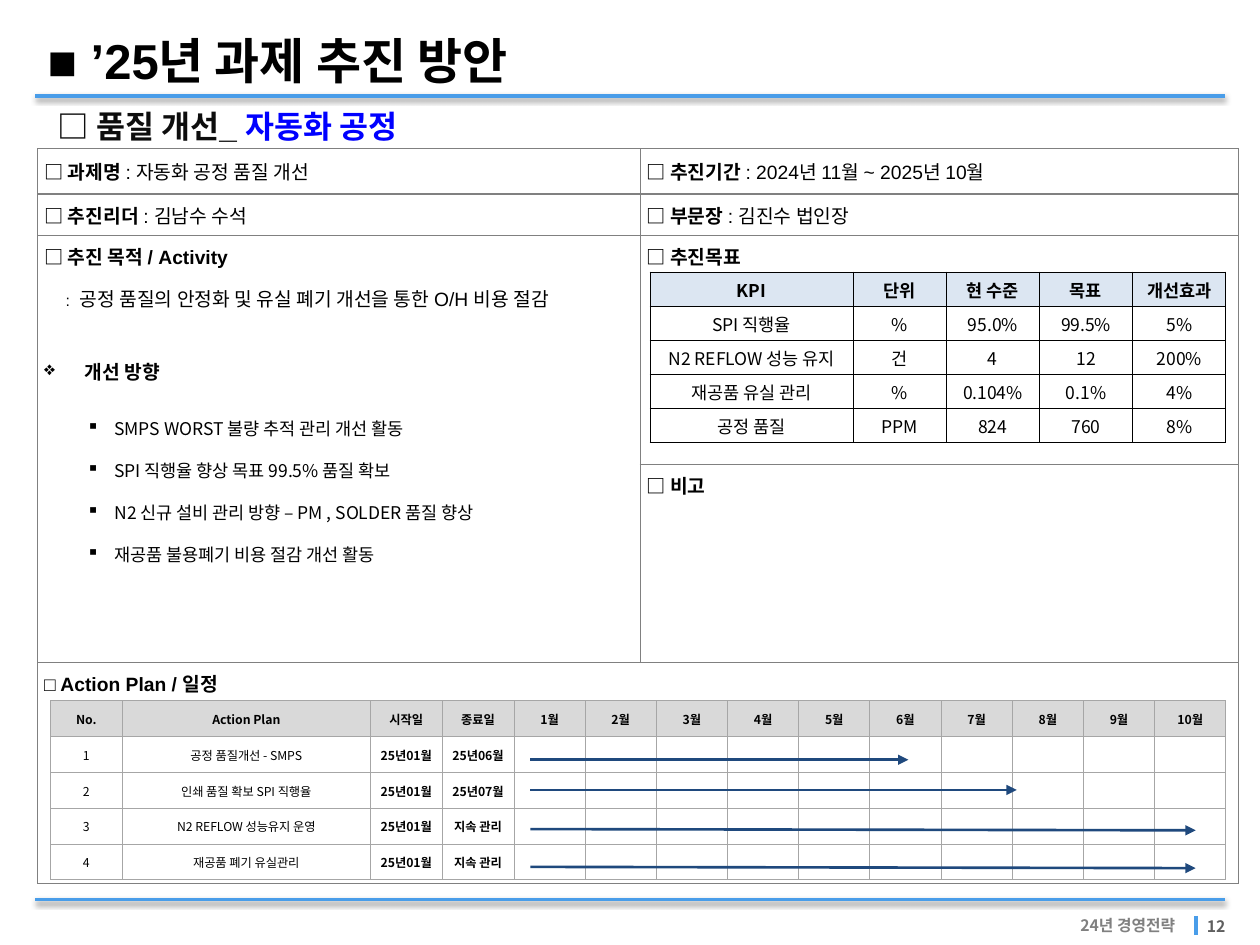
from lxml import etree
from pptx import Presentation
from pptx import util as u
from pptx.dml.color import RGBColor
from pptx.enum import shapes, text
from pptx.oxml import parse_xml
from pptx.oxml.ns import nsdecls, qn

GOTHIC = "Noto Sans CJK KR"
CENTER = text.PP_ALIGN.CENTER
MIDDLE = text.MSO_ANCHOR.MIDDLE
BOLD = {"bold": True}


def color(value):
    return RGBColor.from_string(value)


def set_values(target, values):
    for name, value in values.items():
        setattr(target, name, value)


def add_run(paragraph, wording, size, name="Arial", fill="000000", bold=False):
    run = paragraph.add_run()
    run.text = wording
    set_values(run.font, {"size": u.Pt(size), "name": name, "bold": bold})
    run.font.color.rgb = color(fill)
    etree.SubElement(run.font._element, qn("a:ea"), typeface=GOTHIC)


def set_indent(paragraph, left, hanging=0, bullet=None):
    properties = paragraph._p.get_or_add_pPr()
    properties.set("marL", str(u.Inches(left)))
    properties.set("indent", str(-u.Inches(hanging)))
    if bullet:
        etree.SubElement(properties, qn("a:buChar"), char=bullet)


def set_margins(target, left, top, right, bottom):
    set_values(target, {"margin_left": u.Inches(left), "margin_top": u.Inches(top),
                        "margin_right": u.Inches(right), "margin_bottom": u.Inches(bottom)})


def add_text_box(slide, left, top, width, height, anchor=text.MSO_ANCHOR.TOP):
    shape = slide.shapes.add_textbox(*map(u.Inches, (left, top, width, height)))
    set_values(shape.text_frame, {"word_wrap": True, "vertical_anchor": anchor})
    return shape.text_frame


def add_line(slide, start, end, line_color, width, effect="", arrow=False):
    connector = slide.shapes.add_connector(
        shapes.MSO_CONNECTOR.STRAIGHT, *map(u.Inches, (*start, *end)))
    connector.line.color.rgb = color(line_color)
    connector.line.width = u.Pt(width)
    if arrow:
        etree.SubElement(connector.line._get_or_add_ln(), qn("a:tailEnd"), type="triangle")
    connector._element.spPr.append(
        parse_xml(f"<a:effectLst {nsdecls('a')}>{effect}</a:effectLst>"))


def add_grid(slide, left, top, columns, rows, border, border_width, margins):
    frame = slide.shapes.add_table(
        len(rows), len(columns),
        *map(u.Inches, (left, top, sum(columns), sum(rows))))
    table = frame.table
    set_values(table, {"first_row": False, "horz_banding": False})
    for column, width in zip(table.columns, columns):
        column.width = u.Inches(width)
    for row, height in zip(table.rows, rows):
        row.height = u.Inches(height)
    for cell in table.iter_cells():
        set_margins(cell, *margins)
        cell.fill.background()
        properties = cell._tc.get_or_add_tcPr()
        for index, side in enumerate(("lnL", "lnR", "lnT", "lnB")):
            properties.insert(index, parse_xml(
                f'<a:{side} {nsdecls("a")} w="{u.Pt(border_width)}"><a:solidFill>'
                f'<a:srgbClr val="{border}"/></a:solidFill></a:{side}>'))
    return table


def add_data_table(slide, left, top, columns, row_height, records, size,
                   border, header_fill, bold_columns=()):
    table = add_grid(slide, left, top, columns, [row_height] * len(records),
                     border, 0.5, (0.01, 0.01, 0.01, 0))
    for row, record in enumerate(records):
        for column in range(len(columns)):
            cell = table.cell(row, column)
            cell.vertical_anchor = MIDDLE
            paragraph = cell.text_frame.paragraphs[0]
            paragraph.alignment = CENTER
            if row == 0:
                cell.fill.solid()
                cell.fill.fore_color.rgb = color(header_fill)
            if column < len(record):
                add_run(paragraph, record[column], size, GOTHIC,
                        bold=row == 0 or column in bold_columns)
            else:
                etree.SubElement(paragraph._p, qn("a:endParaRPr"), sz=str(size * 100))


def add_frame(slide, left, width):
    shadow = ('<a:outerShdw blurRad="39370" dist="20320" dir="5400000" rotWithShape="0">'
              '<a:srgbClr val="000000"><a:alpha val="38000"/></a:srgbClr></a:outerShdw>')
    for y in (0.76, 7.14):
        add_line(slide, (left + width, y), (left, y), "499DE9", 2, shadow)


def add_footer(slide, left, top):
    frame = add_text_box(slide, left + 1.05, top, 0.44, 0.2, MIDDLE)
    frame.paragraphs[0].line_spacing = 0.6
    add_run(frame.paragraphs[0], "12", 9, GOTHIC, "5F5F5F", True)
    add_line(slide, (left + 1.06, top), (left + 1.06, top + 0.15), "499DE9", 2.25)
    frame = add_text_box(slide, left, top - 0.05, 1.04, 0.25, MIDDLE)
    frame.paragraphs[0].alignment = CENTER
    add_run(frame.paragraphs[0], "24년 경영전략", 9, GOTHIC, "808080", True)


def add_headings(slide, left, top):
    title = add_text_box(slide, left, top, 7.4, 0.57).paragraphs[0]
    add_run(title, "■ ’25년 과제 추진 방안", 28, bold=True)
    frame = add_text_box(slide, left + 0.08, top + 0.58, 6.85, 0.5, MIDDLE)
    frame.paragraphs[0].line_spacing = 0.85
    for wording, fill in (("□ 품질 개선", "0D0D0D"), ("_ ", "000000"),
                          ("자동화 공정", "0000FF")):
        add_run(frame.paragraphs[0], wording, 18, fill=fill, bold=True)


def add_overview(slide, left, top):
    table = add_grid(slide, left, top, (4.78, 4.75), (0.36, 0.33, 1.82, 1.57, 1.75),
                     "808080", 0.75, (0.05,) * 4)
    table.cell(2, 0).merge(table.cell(3, 0))
    table.cell(4, 0).merge(table.cell(4, 1))
    labels = {
        (0, 0): ("□ 과제명 ", ": 자동화 공정 품질 개선"),
        (0, 1): ("□ 추진기간 ", ": 2024년 11월 ~ 2025년 10월"),
        (1, 0): ("□ 추진리더 ", ": 김남수 수석"),
        (1, 1): ("□ 부문장 ", ": 김진수 법인장"),
        (2, 0): ("□ 추진 목적 / Activity",),
        (2, 1): ("□ 추진목표",),
        (3, 1): ("□ 비고",),
        (4, 0): ("□ Action Plan / 일정",),
    }
    for (row, column), (label, *details) in labels.items():
        cell = table.cell(row, column)
        if row < 2:
            cell.vertical_anchor = MIDDLE
        paragraph = cell.text_frame.paragraphs[0]
        add_run(paragraph, label, 11, bold=True)
        for detail in details:
            add_run(paragraph, detail, 11)
    purpose = table.cell(2, 0).text_frame.add_paragraph()
    purpose.line_spacing = 1.5
    set_indent(purpose, 0.17)
    add_run(purpose, ": ", 9)
    add_run(purpose, " 공정 품질의 안정화 및 유실 폐기 개선을 통한 O/H 비용 절감", 11)
    direction = table.cell(2, 0).text_frame.add_paragraph()
    direction.space_before = u.Pt(26)
    set_indent(direction, 0.32, 0.32, "❖")
    add_run(direction, "개선 방향", 11, bold=True)


def add_directions(slide, left, top, width, height):
    frame = add_text_box(slide, left, top, width, height)
    items = ("SMPS WORST 불량 추적 관리 개선 활동",
             "SPI 직행율 향상 목표 99.5% 품질 확보",
             "N2 신규 설비 관리 방향 – PM , SOLDER 품질 향상",
             "재공품 불용폐기 비용 절감 개선 활동")
    for index, item in enumerate(items):
        paragraph = frame.add_paragraph() if index else frame.paragraphs[0]
        paragraph.line_spacing = 2.0
        set_indent(paragraph, 0.22, 0.22, "▪")
        add_run(paragraph, item, 10, GOTHIC)


def add_schedule(slide, left, top):
    months = [f"{month}월" for month in range(1, 11)]
    start = "25년01월"
    records = [("No.", "Action Plan", "시작일", "종료일", *months),
               ("1", "공정 품질개선 - SMPS", start, "25년06월"),
               ("2", "인쇄 품질 확보 SPI 직행율", start, "25년07월"),
               ("3", "N2 REFLOW 성능유지 운영", start, "지속 관리"),
               ("4", "재공품 폐기 유실관리", start, "지속 관리")]
    add_data_table(slide, left, top, [0.57, 1.97] + [0.57] * 2 + [0.57 - 0.01 / 2] * 10,
                   0.28 + 0.01 / 2, records, 7, "A6A6A6", "D9D9D9", (2, 3))
    for length, begin, end in ((3, 0.47, 0.47), (3.86, 0.71, 0.71),
                               (5.28, 1.02, 1.03), (5.28, 1.32, 1.33)):
        add_line(slide, (left + 3.81, top + begin), (left + 3.81 + length, top + end),
                 "1F497D", 1.5, arrow=True)


def add_targets(slide, left, top):
    records = [("KPI", "단위", "현 수준", "목표", "개선효과"),
               ("SPI 직행율", "%", "95.0%", "99.5%", "5%"),
               ("N2 REFLOW 성능 유지", "건", "4", "12", "200%"),
               ("재공품 유실 관리", "%", "0.104%", "0.1%", "4%"),
               ("공정 품질", "PPM", "824", "760", "8%")]
    add_data_table(slide, left, top, [1.61] + [0.74] * 4, 0.27, records, 10,
                   "000000", "DCE6F2")


def main():
    presentation = Presentation()
    set_values(presentation, {"slide_width": u.Inches(10), "slide_height": u.Inches(7.5)})
    slide = presentation.slides.add_slide(presentation.slide_layouts[6])
    add_frame(slide, 0.28, 9.44)
    add_footer(slide, 8.43, 7.27)
    add_overview(slide, 0.3, 1.18)
    add_headings(slide, 0.28, 0.19)
    add_directions(slide, 0.59, 3.1, 3.67, 1.39)
    add_schedule(slide, 0.4, 5.56)
    add_targets(slide, 5.16, 2.16)
    presentation.save("out.pptx")


if __name__ == "__main__":
    main()
